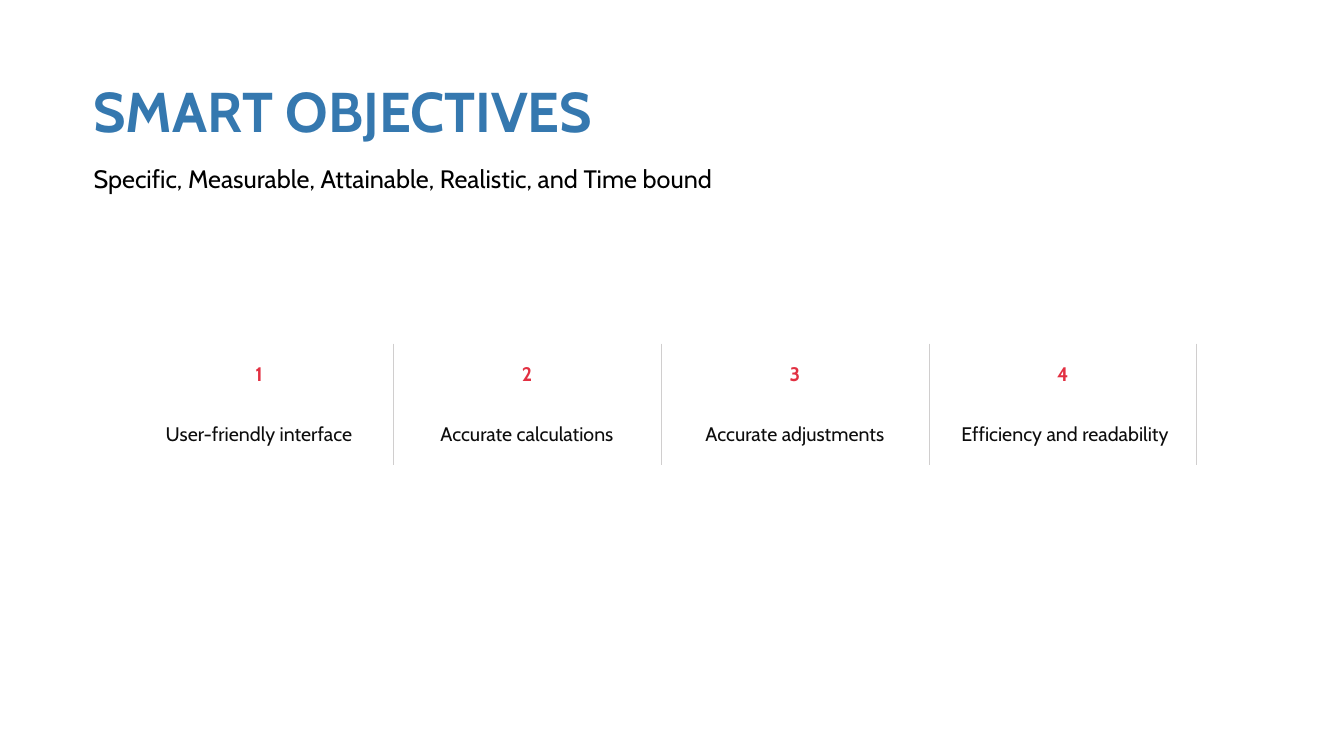
"""Build the SMART objectives slide."""
from lxml import etree
from pptx import Presentation
from pptx import util as u
from pptx.dml.color import RGBColor
from pptx.enum import text
from pptx.oxml import ns

HUES = {"blue": "3578AF", "red": "E23042", "black": "000000",
        "ink": "0D0D0D", "rule": "D0CECE"}
GOALS = ["User-friendly interface", "Accurate calculations",
         "Accurate adjustments", " Efficiency and readability"]
HEAD = {"size": u.Pt(40), "bold": True}
LEAD = {"size": u.Pt(18), "bold": False}
MARK = {"size": u.Pt(14), "bold": True}
GOAL = {"size": u.Pt(14), "bold": False}


def style(par, words, font, hue, form):
    """Write words into a paragraph with font and paragraph values."""
    run = par.add_run()
    run.text = words
    run.font.color.rgb = RGBColor.from_string(HUES[hue])
    for key, val in {"name": "Cabin", **font}.items():
        setattr(run.font, key, val)
    for key, val in form.items():
        setattr(par, key, val)


def label(slide, box, words, font, hue, anchor, form):
    """Place a wrapped text box."""
    frame = slide.shapes.add_textbox(*map(u.Inches, box)).text_frame
    frame.word_wrap = True
    frame.vertical_anchor = anchor
    style(frame.paragraphs[0], words, font, hue, form)


def header(slide, box):
    """Place the title with the subtitle below it."""
    left, top, width, _ = box
    gap = {"space_before": u.Pt(10)}
    label(slide, (left, top, width, 0.71), "SMART OBJECTIVES", HEAD, "blue",
          text.MSO_ANCHOR.MIDDLE, {"line_spacing": 0.9, **gap})
    label(slide, (left, top + 0.79, width, 1.27),
          "Specific, Measurable, Attainable, Realistic, and Time bound",
          LEAD, "black", text.MSO_ANCHOR.TOP, gap)


def edge(cell, side, hue=None):
    """Draw one cell border, or clear it when no hue is given."""
    line = etree.SubElement(cell._tc.get_or_add_tcPr(), ns.qn(f"a:ln{side}"),
                            w=str(u.Pt(0.5)))
    if hue:
        fill = etree.SubElement(line, ns.qn("a:solidFill"))
        etree.SubElement(fill, ns.qn("a:srgbClr"), val=HUES[hue])
    else:
        etree.SubElement(line, ns.qn("a:noFill"))


def goals(slide, box):
    """Place the numbered goals in a table ruled between columns."""
    table = slide.shapes.add_table(2, len(GOALS), *map(u.Inches, box)).table
    table.first_row = table.horz_banding = False
    form = {"alignment": text.PP_ALIGN.CENTER, "space_before": u.Pt(2.8)}
    for col, goal in enumerate(GOALS):
        rows = [(str(col + 1), MARK, "red"), (goal, GOAL, "ink")]
        for row, (words, font, hue) in enumerate(rows):
            cell = table.cell(row, col)
            cell.vertical_anchor = text.MSO_ANCHOR.MIDDLE
            style(cell.text_frame.paragraphs[0], words, font, hue, form)
            edge(cell, "L", "rule" if col else None)
            edge(cell, "R", "rule")
            edge(cell, "T")
            edge(cell, "B")
            cell.fill.background()


def main():
    """Build and save the deck."""
    deck = Presentation()
    deck.slide_width, deck.slide_height = u.Inches(13.33), u.Inches(7.5)
    slide = deck.slides.add_slide(deck.slide_layouts[6])
    header(slide, (0.83, 0.78, 11.6, 2.06))
    goals(slide, (1.24, 3.41, 10.63, 1.2))
    deck.save("out.pptx")


if __name__ == "__main__":
    main()
